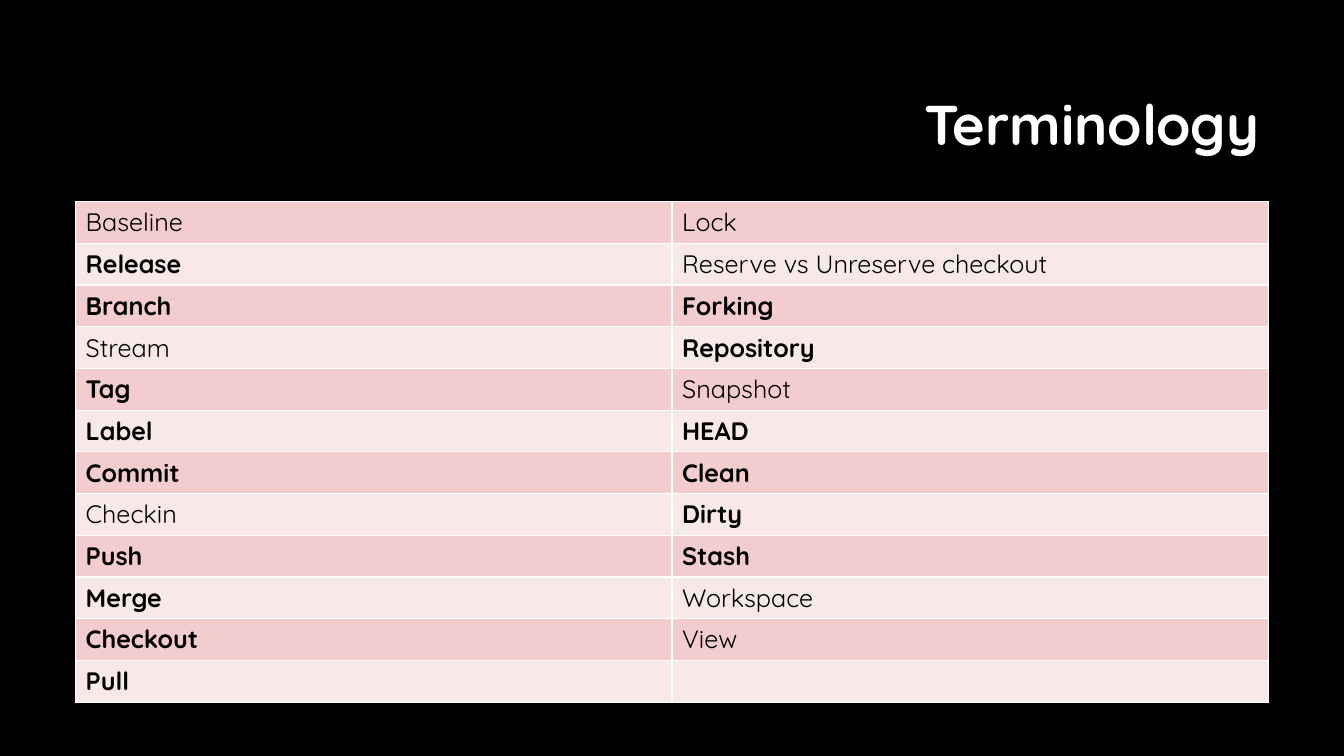
"""Build the Terminology slide with its two-column table of version control terms."""
import dataclasses
import typing

import lxml.etree
import pptx
import pptx.dml.color
import pptx.enum.text
import pptx.oxml.ns
import pptx.util

SLIDE_WIDTH = pptx.util.Inches(13.33)
SLIDE_HEIGHT = pptx.util.Inches(7.5)
FONT = "Quicksand"
COLOURS = {
    "background": "000000",
    "title": "FFFFFF",
    "term": "000000",
    "border": "FFFFFF",
    "odd_row": "F3CDCD",
    "even_row": "F9E8E8",
}


@dataclasses.dataclass(frozen=True)
class Area:
    left: float
    top: float
    width: float
    height: float

    def lengths(self) -> dict[str, int]:
        return {
            "left": round(self.left * SLIDE_WIDTH / 100),
            "top": round(self.top * SLIDE_HEIGHT / 100),
            "width": round(self.width * SLIDE_WIDTH / 100),
            "height": round(self.height * SLIDE_HEIGHT / 100),
        }


@dataclasses.dataclass(frozen=True)
class Term:
    text: str
    bold: bool = True


TITLE_AREA = Area(23.78, 7.47, 70.67, 18.8)
TABLE_AREA = Area(5.63, 26.67, 88.75, 64.93)
TERM_COLUMNS = (
    (
        Term("Baseline", False),
        Term("Release"),
        Term("Branch"),
        Term("Stream", False),
        Term("Tag"),
        Term("Label"),
        Term("Commit"),
        Term("Checkin", False),
        Term("Push"),
        Term("Merge"),
        Term("Checkout"),
        Term("Pull"),
    ),
    (
        Term("Lock", False),
        Term("Reserve vs Unreserve checkout", False),
        Term("Forking"),
        Term("Repository"),
        Term("Snapshot", False),
        Term("HEAD"),
        Term("Clean"),
        Term("Dirty"),
        Term("Stash"),
        Term("Workspace", False),
        Term("View", False),
    ),
)


def colour(name: str) -> pptx.dml.color.RGBColor:
    return pptx.dml.color.RGBColor.from_string(COLOURS[name])


def set_values(target: typing.Any, values: dict[str, typing.Any]) -> None:
    for name, value in values.items():
        setattr(target, name, value)


def write(para: typing.Any, text: str, size: int, bold: bool, colour_name: str) -> None:
    span = para.add_run()
    span.text = text
    set_values(span.font, {"name": FONT, "size": pptx.util.Pt(size), "bold": bold})
    span.font.color.rgb = colour(colour_name)


def draw_borders(cell: typing.Any) -> None:
    qn = pptx.oxml.ns.qn
    properties = cell._tc.get_or_add_tcPr()
    for side in ("a:lnL", "a:lnR", "a:lnT", "a:lnB"):
        line = lxml.etree.SubElement(properties, qn(side), w=str(pptx.util.Pt(1)))
        fill = lxml.etree.SubElement(line, qn("a:solidFill"))
        lxml.etree.SubElement(fill, qn("a:srgbClr"), val=COLOURS["border"])


def draw_title(page: typing.Any) -> None:
    box = page.shapes.title
    set_values(box, TITLE_AREA.lengths())
    set_values(box.text_frame, {
        "word_wrap": True,
        "auto_size": pptx.enum.text.MSO_AUTO_SIZE.NONE,
        "vertical_anchor": pptx.enum.text.MSO_ANCHOR.MIDDLE,
    })
    para = box.text_frame.paragraphs[0]
    set_values(para, {"alignment": pptx.enum.text.PP_ALIGN.RIGHT, "line_spacing": 0.9})
    write(para, "Terminology", 40, True, "title")


def draw_terms(page: typing.Any) -> None:
    row_count = max(len(terms) for terms in TERM_COLUMNS)
    frame = page.shapes.add_table(row_count, len(TERM_COLUMNS), **TABLE_AREA.lengths())
    table = frame.table
    set_values(table, {"first_row": False, "horz_banding": False})
    for column, terms in enumerate(TERM_COLUMNS):
        for row in range(row_count):
            cell = table.cell(row, column)
            draw_borders(cell)
            cell.fill.solid()
            cell.fill.fore_color.rgb = colour("even_row" if row % 2 else "odd_row")
            if row < len(terms):
                term = terms[row]
                write(cell.text_frame.paragraphs[0], term.text, 18, term.bold, "term")


def main() -> None:
    deck = pptx.Presentation()
    set_values(deck, {"slide_width": SLIDE_WIDTH, "slide_height": SLIDE_HEIGHT})
    page = deck.slides.add_slide(deck.slide_layouts.get_by_name("Title Only"))
    page.background.fill.solid()
    page.background.fill.fore_color.rgb = colour("background")
    draw_title(page)
    draw_terms(page)
    deck.save("out.pptx")


if __name__ == "__main__":
    main()
